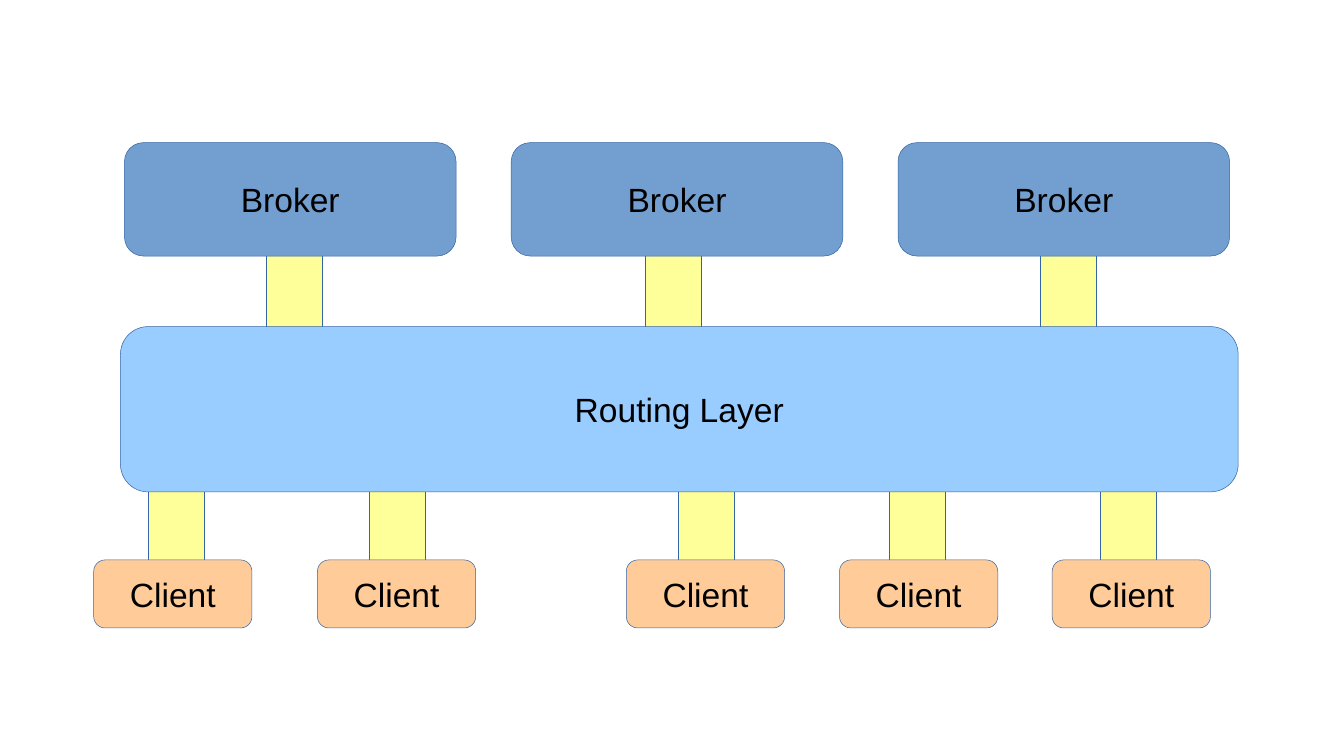
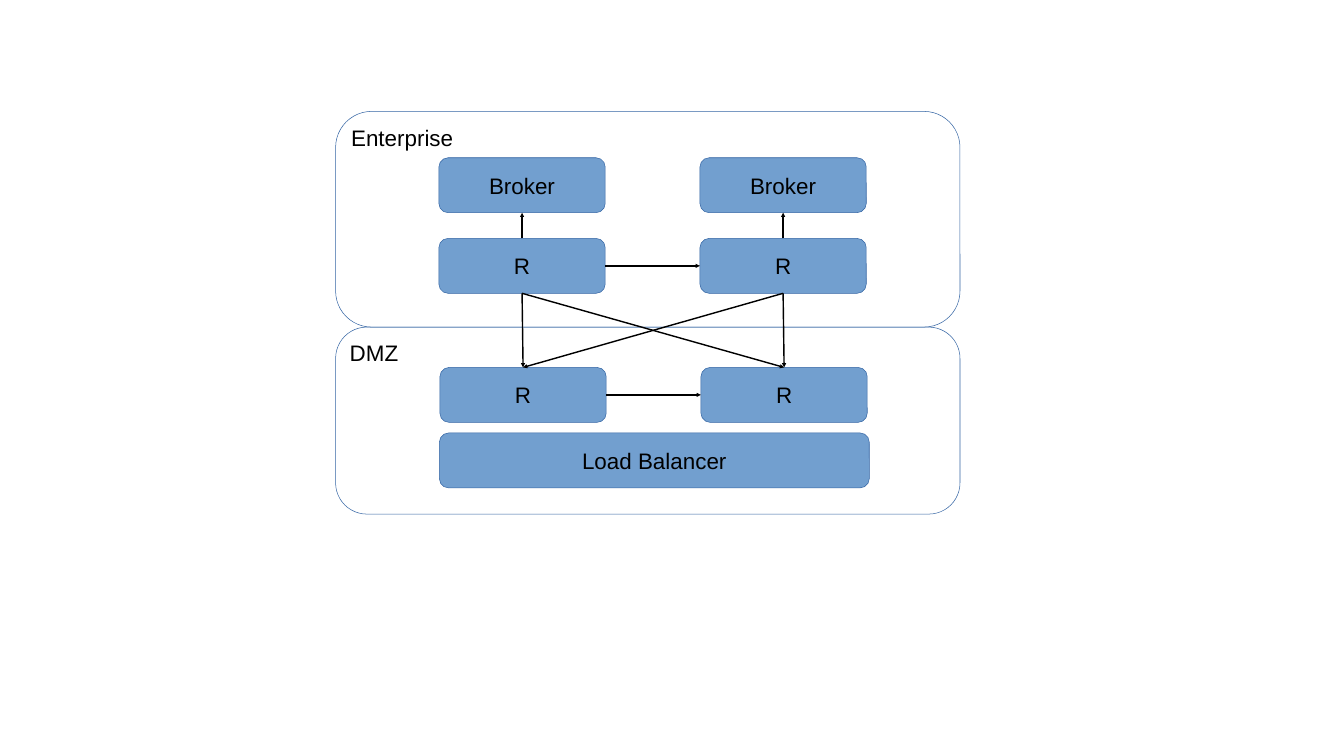
from pptx import Presentation
from pptx import util as u
from pptx.dml.color import RGBColor
from pptx.enum import shapes, text
from pptx.oxml.ns import qn
from lxml import etree

BLUE = RGBColor(0x72, 0x9F, 0xCF)
SKY = RGBColor(0x99, 0xCC, 0xFF)
PEACH = RGBColor(0xFF, 0xCC, 0x99)
YELLOW = RGBColor(0xFF, 0xFF, 0x99)
EDGE = RGBColor(0x34, 0x65, 0xA4)
BLACK = RGBColor(0, 0, 0)

KIND = shapes.MSO_SHAPE
TOP, LEFT, BOTTOM, RIGHT = range(4)
MIDDLE = {"vertical_anchor": text.MSO_ANCHOR.MIDDLE, "word_wrap": False}
CORNER = {"vertical_anchor": text.MSO_ANCHOR.TOP, "word_wrap": False}


def apply(target, values):
    for name, value in values.items():
        setattr(target, name, value)


class Deck:
    """Holds the presentation, the text size and the current slide."""

    def __init__(self, width, height):
        self.prs = Presentation()
        self.prs.slide_width = u.Inches(width)
        self.prs.slide_height = u.Inches(height)

    def page(self, size):
        self.slide = self.prs.slides.add_slide(self.prs.slide_layouts[6])
        self.font = {"name": "Arial", "size": u.Pt(size)}

    def shape(self, kind, place, fill, width=0):
        item = self.slide.shapes.add_shape(kind, *map(u.Inches, place))
        item.shadow.inherit = False
        if fill is None:
            item.fill.background()
        else:
            item.fill.solid()
            item.fill.fore_color.rgb = fill
        item.line.color.rgb = EDGE
        item.line.width = u.Pt(width)
        return item

    def pipe(self, left, top):
        return self.shape(KIND.RECTANGLE, (left, top, 1.11, 1.78), YELLOW, 1.5)

    def box(self, label, place, fill, frame=MIDDLE, align=text.PP_ALIGN.CENTER):
        item = self.shape(KIND.ROUNDED_RECTANGLE, place, fill)
        item.adjustments[0] = 0.167
        apply(item.text_frame, frame)
        para = item.text_frame.paragraphs[0]
        para.alignment = align
        run = para.add_run()
        run.text = label
        apply(run.font, self.font)
        run.font.color.rgb = BLACK
        return item

    def zone(self, label, place):
        return self.box(label, place, None, CORNER, text.PP_ALIGN.LEFT)

    def arrow(self, start, out, end, into):
        line = self.slide.shapes.add_connector(
            shapes.MSO_CONNECTOR.STRAIGHT, 0, 0, 0, 0)
        line.begin_connect(start, out)
        line.end_connect(end, into)
        line.line.color.rgb = BLACK
        line.line.width = u.Pt(0)
        tail = etree.SubElement(line.line._get_or_add_ln(), qn("a:tailEnd"))
        tail.set("type", "triangle")
        etree.SubElement(line._element.spPr, qn("a:effectLst"))


def layers(deck):
    deck.page(48)

    # Pipes, partly hidden by the boxes they join
    for left, top in ((5.29, 4.94), (12.81, 4.82), (20.65, 4.87)):
        deck.pipe(left, top)
    for left in (2.94, 7.34, 13.47, 17.66, 21.84):
        deck.pipe(left, 9.55)

    # Brokers, routing layer and clients
    for col in range(3):
        deck.box("Broker", (2.47 + 7.675 * col, 2.83, 6.58, 2.25), BLUE)
    deck.box("Routing Layer", (2.39, 6.48, 22.18, 3.28), SKY)
    for left in (1.86, 6.3, 12.43, 16.66, 20.88):
        deck.box("Client", (left, 11.11, 3.14, 1.35), PEACH)


def network(deck):
    deck.page(32)

    # Zones
    deck.zone("Enterprise", (6.66, 2.21, 12.39, 4.28))
    deck.zone("DMZ", (6.66, 6.49, 12.39, 3.71))

    # Rows of two nodes
    def pair(label, left, top):
        return [deck.box(label, (left + 5.18 * col, top, 3.3, 1.09), BLUE)
                for col in range(2)]

    hubs = pair("Broker", 8.71, 3.13)
    inner = pair("R", 8.71, 4.73)
    outer = pair("R", 8.73, 7.29)
    deck.box("Load Balancer", (8.72, 8.59, 8.53, 1.09), BLUE)

    # Links
    for node, hub in zip(inner, hubs):
        deck.arrow(node, TOP, hub, BOTTOM)
        for far in outer:
            deck.arrow(node, BOTTOM, far, TOP)
    for first, second in (inner, outer):
        deck.arrow(first, RIGHT, second, LEFT)


def main():
    deck = Deck(26.67, 15)
    layers(deck)
    network(deck)
    deck.prs.save("out.pptx")


if __name__ == "__main__":
    main()
